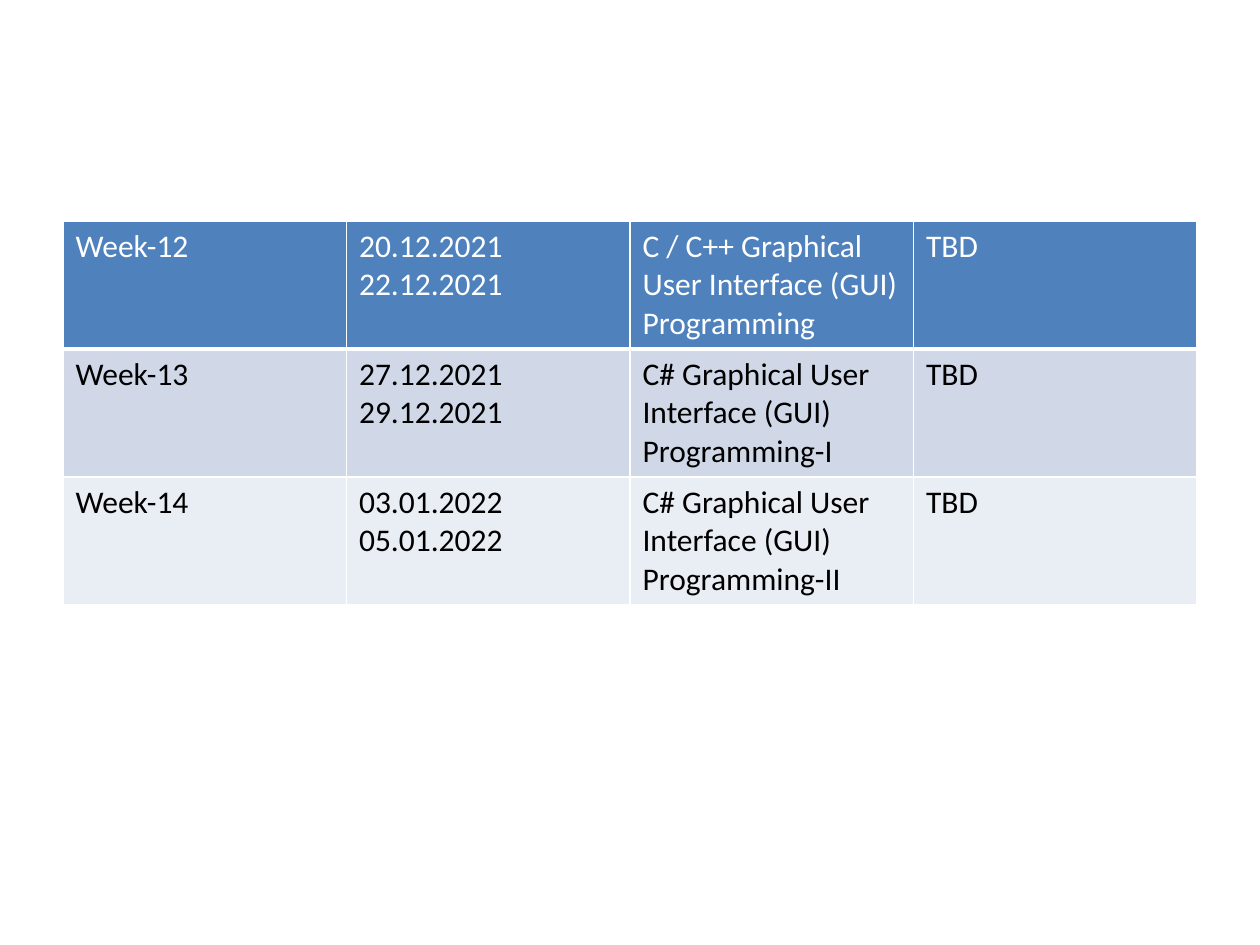
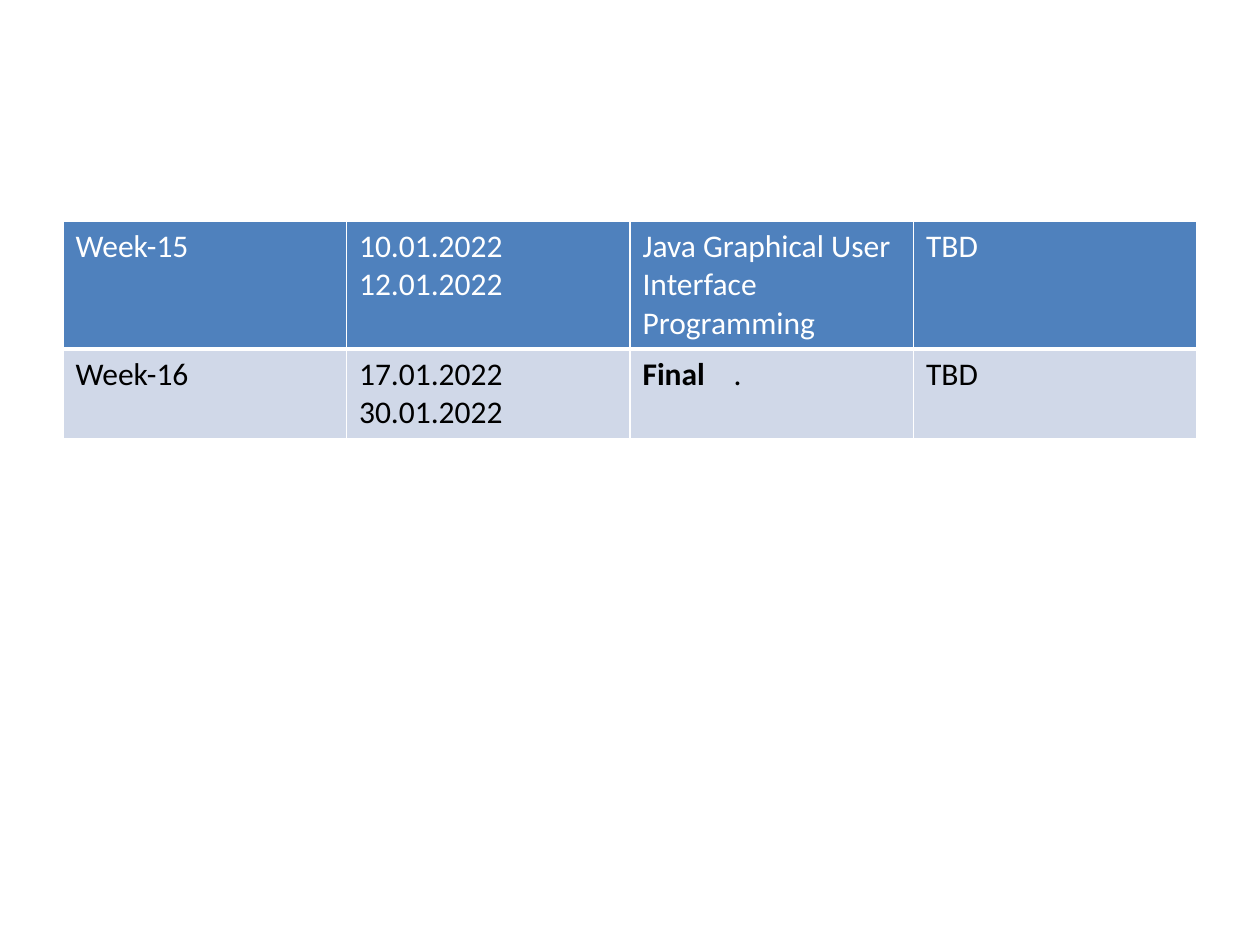
from dataclasses import dataclass

from lxml import etree
from pptx import Presentation
from pptx import util as u
from pptx.dml.color import RGBColor
from pptx.oxml import ns

PX = u.Inches(1) / 126


@dataclass(frozen=True)
class Theme:
    font: str = "Calibri"
    size: int = 18
    header_fill: str = "4F81BD"
    band_fills: tuple = ("D0D8E8", "E9EDF4")
    header_text: str = "FFFFFF"
    body_text: str = "000000"
    border: str = "FFFFFF"
    thin: int = 1
    thick: int = 3


theme = Theme()

# Each cell is a list of (words, bold) spans or a plain string.
FINAL_TAB = 91
schedules = [
    [
        ("Week-12", "20.12.2021 22.12.2021", "C / C++ Graphical User Interface (GUI) Programming", "TBD"),
        ("Week-13", "27.12.2021 29.12.2021", "C# Graphical User Interface (GUI) Programming-I", "TBD"),
        ("Week-14", "03.01.2022 05.01.2022", "C# Graphical User Interface (GUI) Programming-II", "TBD"),
    ],
    [
        ("Week-15", "10.01.2022 12.01.2022", "Java Graphical User Interface Programming", "TBD"),
        ("Week-16", "17.01.2022 30.01.2022", [("Final", True), ("\t.", False)], "TBD"),
    ],
]
row_heights = [(128, 128, 128), (128, 89)]


def px(length):
    return u.Emu(round(length * PX))


def add_borders(cell, bottom):
    """Draw all four cell edges; must run before the cell is filled."""
    properties = cell._tc.get_or_add_tcPr()
    for side, width in (("L", theme.thin), ("R", theme.thin), ("T", theme.thin), ("B", bottom)):
        line = etree.SubElement(properties, ns.qn(f"a:ln{side}"), w=str(u.Pt(width)))
        fill = etree.SubElement(line, ns.qn("a:solidFill"))
        etree.SubElement(fill, ns.qn("a:srgbClr"), val=theme.border)


deck = Presentation()
deck.slide_width, deck.slide_height = px(1260), px(945)

for weeks, heights in zip(schedules, row_heights):
    page = deck.slides.add_slide(deck.slide_layouts[6])
    table = page.shapes.add_table(
        len(weeks), len(weeks[0]), px(63), px(221), px(1134), px(sum(heights))
    ).table

    for row, (week, height) in enumerate(zip(weeks, heights)):
        table.rows[row].height = px(height)
        is_header = row == 0
        fill = theme.header_fill if is_header else theme.band_fills[(row - 1) % 2]
        color = theme.header_text if is_header else theme.body_text

        for column, content in enumerate(week):
            cell = table.cell(row, column)
            add_borders(cell, theme.thick if is_header else theme.thin)
            cell.fill.solid()
            cell.fill.fore_color.rgb = RGBColor.from_string(fill)

            para = cell.text_frame.paragraphs[0]
            spans = [(content, False)] if isinstance(content, str) else content
            if len(spans) > 1:
                tabs = etree.SubElement(para._p.get_or_add_pPr(), ns.qn("a:tabLst"))
                etree.SubElement(tabs, ns.qn("a:tab"), pos=str(px(FINAL_TAB)), algn="l")
            for words, bold in spans:
                span = para.add_run()
                span.text = words
                span.font.name = theme.font
                span.font.size = u.Pt(theme.size)
                span.font.bold = bold
                span.font.color.rgb = RGBColor.from_string(color)

deck.save("out.pptx")
